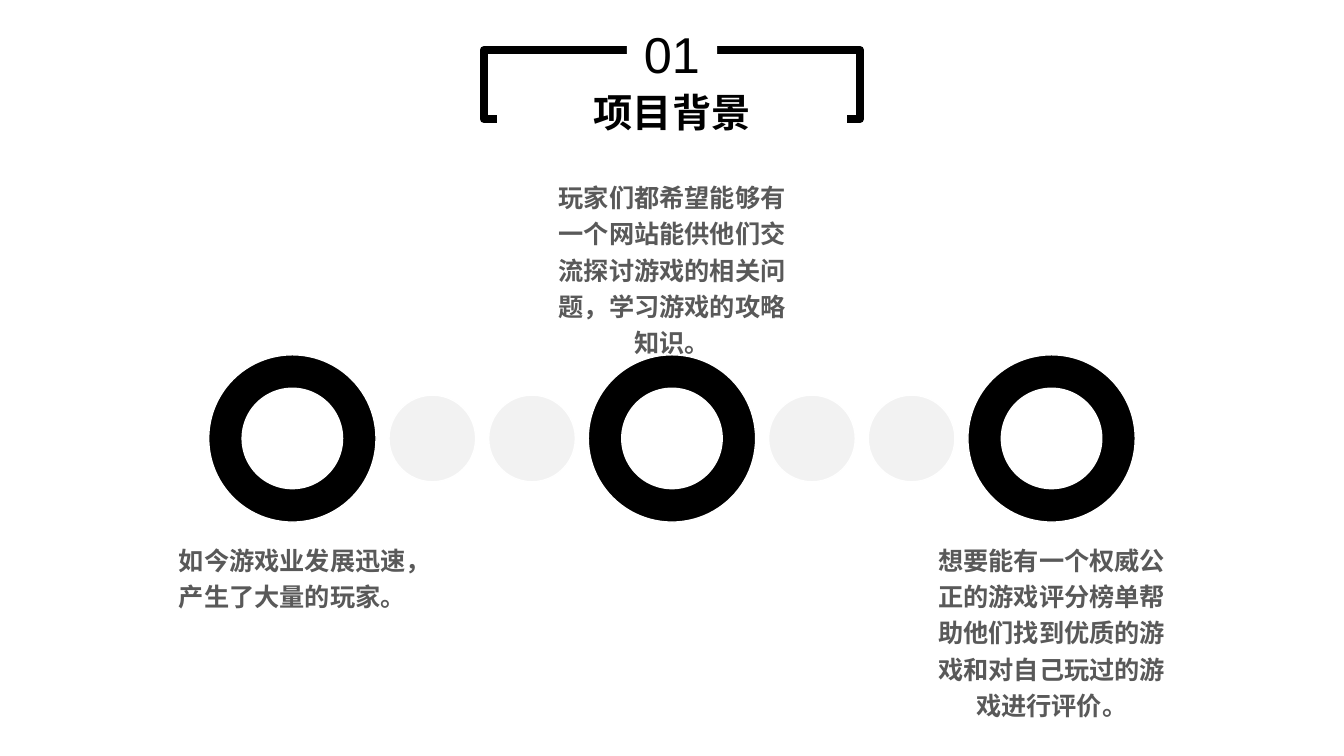
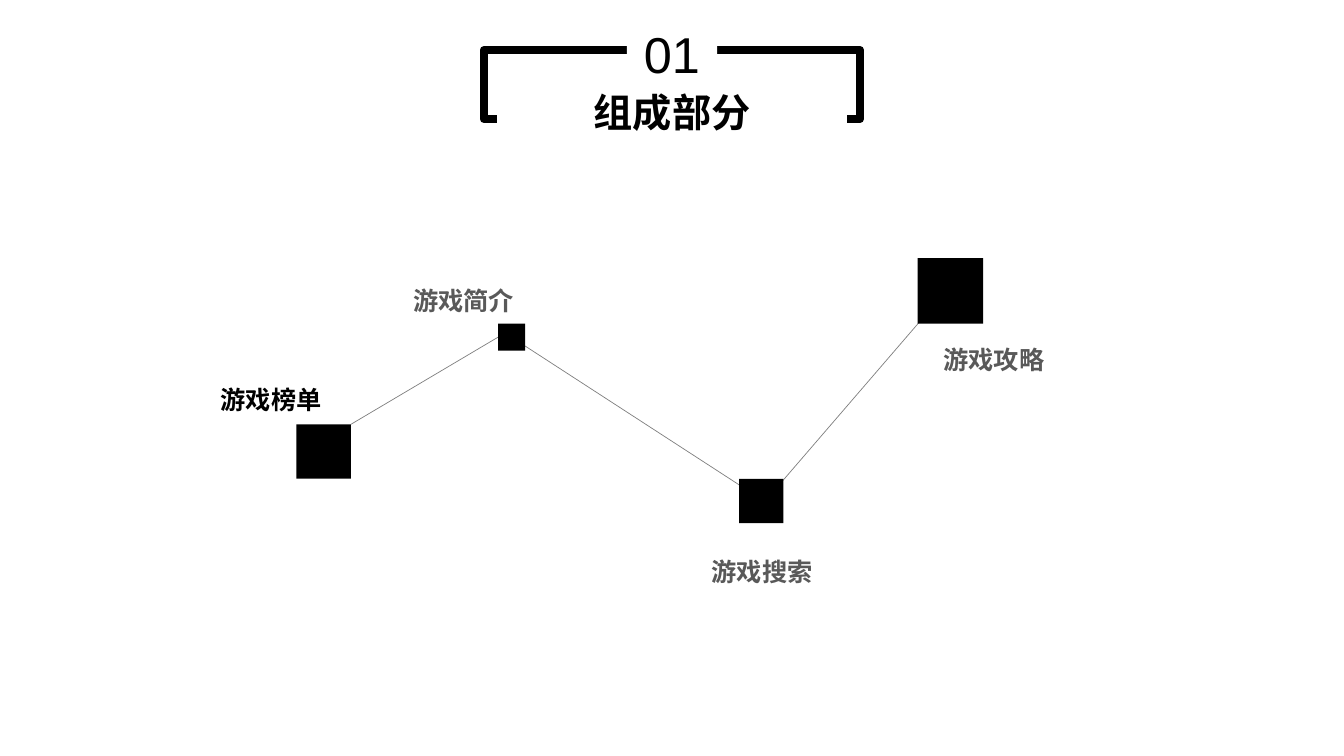
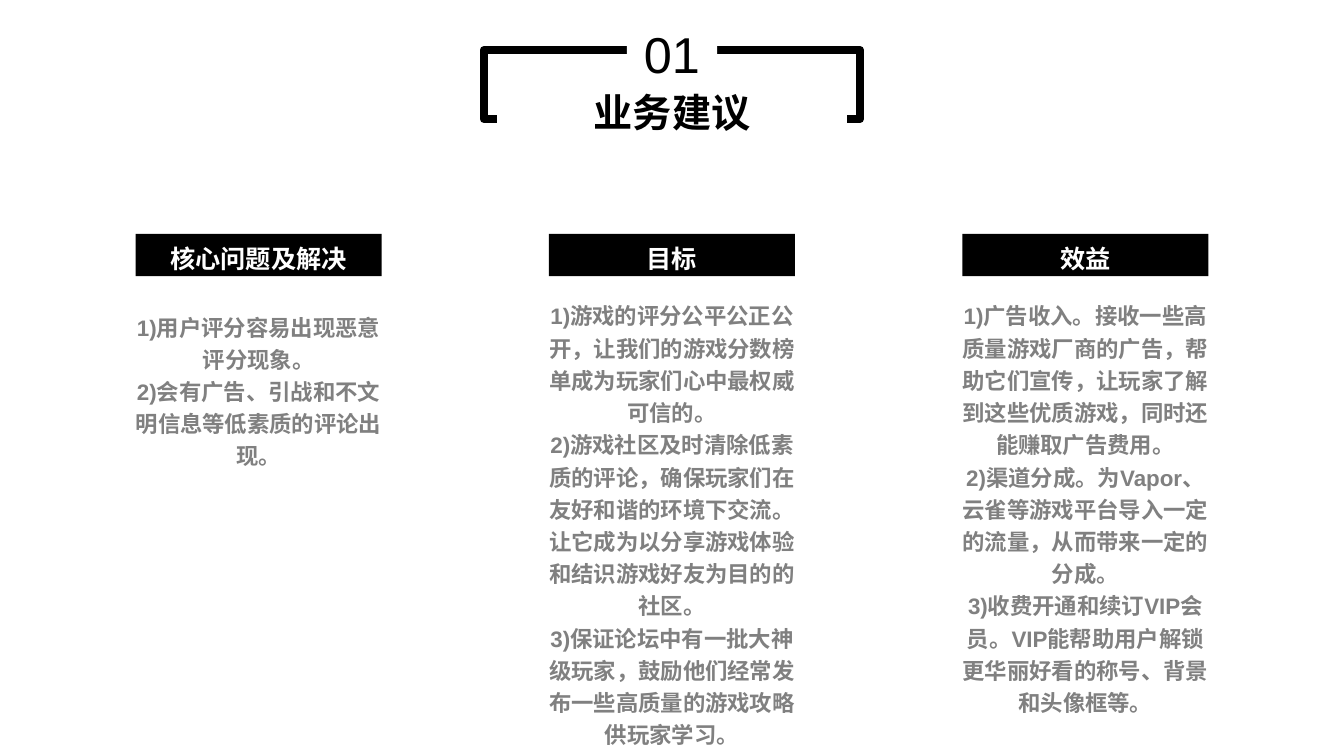
from dataclasses import dataclass

from lxml import etree
from pptx import Presentation
from pptx.dml.color import RGBColor
from pptx.enum.shapes import MSO_CONNECTOR, MSO_SHAPE
from pptx.enum.text import MSO_ANCHOR, MSO_AUTO_SIZE, PP_ALIGN
from pptx.oxml.ns import qn
from pptx.util import Inches, Pt

RECTANGLE, OVAL, DONUT = MSO_SHAPE.RECTANGLE, MSO_SHAPE.OVAL, MSO_SHAPE.DONUT
STRAIGHT = MSO_CONNECTOR.STRAIGHT
LEFT, CENTER = PP_ALIGN.LEFT, PP_ALIGN.CENTER
TOP, MIDDLE = MSO_ANCHOR.TOP, MSO_ANCHOR.MIDDLE
NO_AUTOFIT = MSO_AUTO_SIZE.NONE
TITLE_ONLY = 5
LEFT_SIDE = 1

FONT = "Arial"
BLACK, WHITE = "000000", "FFFFFF"
DARK_GRAY, GRAY, PALE_GRAY = "595959", "808080", "F2F2F2"
LOOSE = 1.2


@dataclass
class Box:
    left: float
    top: float
    width: float
    height: float

    @property
    def center(self):
        return self.left + self.width / 2

    def share(self, x, y, width, height):
        return Box(self.left + x * self.width, self.top + y * self.height,
                   width * self.width, height * self.height)

    def offset(self, x, y, width, height):
        return Box(self.left + x, self.top + y, width, height)

    def point(self, x, y):
        return Inches(self.left + x * self.width), Inches(self.top + y * self.height)

    def emu(self):
        return [Inches(v) for v in (self.left, self.top, self.width, self.height)]


PAGE = Box(0, 0, 13.33, 7.5)
HEADER = Box(4.8, 0.18, 3.73, 1.22)


def color(hex_string):
    return RGBColor.from_string(hex_string)


def paint(shape, fill=None, line=None, weight=1):
    if fill:
        shape.fill.solid()
        shape.fill.fore_color.rgb = color(fill)
    else:
        shape.fill.background()
    if line:
        shape.line.color.rgb = color(line)
        shape.line.width = Pt(weight)
    else:
        shape.line.fill.background()


def add_shape(page, kind, box, fill=None, line=None, weight=1):
    shape = page.shapes.add_shape(kind, *box.emu())
    shape.shadow.inherit = False
    paint(shape, fill, line, weight)
    return shape


def write(shape, text, size, ink, bold=True, align=CENTER, spacing=1.0, anchor=TOP):
    frame = shape.text_frame
    frame.text = text
    frame.word_wrap = True
    frame.auto_size = NO_AUTOFIT
    frame.vertical_anchor = anchor
    for para in frame.paragraphs:
        para.alignment = align
        para.line_spacing = spacing
        for span in para.runs:
            span.font.name = FONT
            span.font.size = Pt(size)
            span.font.bold = bold
            span.font.color.rgb = color(ink)


def add_text(page, box, text, size, ink, **style):
    write(page.shapes.add_textbox(*box.emu()), text, size, ink, **style)


def add_header(page, box, number, text):
    outline = add_shape(page, RECTANGLE, box.share(0, 0.26, 1, 0.56), line=BLACK, weight=6)
    badge = add_shape(page, RECTANGLE, box.share(0.38, 0, 0.24, 0.58), WHITE)
    write(badge, number, 36, BLACK, bold=False, anchor=MIDDLE)
    title = page.shapes.title
    title.left, title.top, title.width, title.height = box.share(0.035, 0.53, 0.93, 0.47).emu()
    paint(title, WHITE)
    write(title, text, 28, BLACK, anchor=MIDDLE)
    for shape in (outline, badge):
        title.element.addprevious(shape.element)


def add_page(deck, text):
    page = deck.slides.add_slide(deck.slide_layouts[TITLE_ONLY])
    add_header(page, HEADER, "01", text)
    return page


def add_ring_chain(page, box, captions):
    ring, dot = box.height, 0.86
    diameters = [ring, dot, dot, ring, dot, dot, ring]
    gap = (box.width - sum(diameters)) / (len(diameters) - 1)
    centers = []
    left = 0
    for diameter in diameters:
        spot = box.offset(left, (ring - diameter) / 2, diameter, diameter)
        if diameter == ring:
            shape = add_shape(page, DONUT, spot, BLACK, WHITE)
            shape.adjustments[0] = 0.2
            centers.append(spot.center)
        else:
            add_shape(page, OVAL, spot, PALE_GRAY, WHITE)
        left += diameter + gap
    width = 2.45
    for center, (rise, text) in zip(centers, captions):
        add_text(page, Box(center - width / 2, box.top + rise, width, 1.92),
                 text, 18, DARK_GRAY, spacing=LOOSE)


def add_link(page, start, end, behind):
    link = page.shapes.add_connector(STRAIGHT, *start, *end)
    link.line.color.rgb = color(GRAY)
    link.line.width = Pt(0.5)
    etree.SubElement(link.element.spPr, qn("a:effectLst"))
    behind.element.addprevious(link.element)
    return link


def add_network(page, box, parts, links):
    spots, nodes = [], []
    for x, y, side, shift_x, shift_y, text, ink, spacing in parts:
        spot = box.offset(x, y, side, side)
        spots.append(spot)
        nodes.append(add_shape(page, RECTANGLE, spot, BLACK))
        add_text(page, spot.offset(shift_x, shift_y, 1.81, 0.46), text, 18, ink,
                 align=LEFT, spacing=spacing)
    for index, (start, end) in enumerate(links):
        link = add_link(page, spots[index].point(*start),
                        spots[index + 1].point(*end), nodes[0])
        if end == (0, 0.5):
            link.end_connect(nodes[index + 1], LEFT_SIDE)


def add_column(page, box, heading, items, drop):
    bar = add_shape(page, RECTANGLE, box.offset(0, 0, box.width, 0.42), BLACK)
    bar.text_frame.margin_top = bar.text_frame.margin_bottom = 0
    write(bar, heading, 18, WHITE, spacing=LOOSE, anchor=MIDDLE)
    overhang = 0.12
    body = box.offset(-overhang, drop, box.width + 2 * overhang, box.height - drop)
    add_text(page, body, "\n".join(items), 16, GRAY, spacing=LOOSE)


def build_background(deck):
    page = add_page(deck, "项目背景")
    add_ring_chain(page, Box(2.07, 3.52, 9.19, 1.66), [
        (1.78, "如今游戏业发展迅速，产生了大量的玩家。"),
        (-1.82, "玩家们都希望能够有一个网站能供他们交流探讨游戏的相关问题，学习游戏的攻略知识。"),
        (1.78, "想要能有一个权威公正的游戏评分榜单帮助他们找到优质的游戏和对自己玩过的游戏进行评价。"),
    ])


def build_components(deck):
    page = add_page(deck, "组成部分")
    parts = [
        (0, 1.65, 0.54, -0.85, -0.45, "游戏榜单", BLACK, 1.0),
        (2, 0.65, 0.27, -0.94, -0.49, "游戏简介", DARK_GRAY, LOOSE),
        (4.39, 2.19, 0.44, -0.37, 0.66, "游戏搜索", DARK_GRAY, LOOSE),
        (6.16, 0, 0.65, 0.16, 0.75, "游戏攻略", DARK_GRAY, LOOSE),
    ]
    links = [
        ((1, 0), (0, 0.5)),
        ((0.8, 0.7), (0.1, 0.2)),
        ((0.85, 0.2), (0.25, 0.72)),
    ]
    add_network(page, Box(2.94, 2.56, 6.81, 2.63), parts, links)


def build_advice(deck):
    page = add_page(deck, "业务建议")
    columns = [
        ("核心问题及解决", 0.69, [
            "1)用户评分容易出现恶意评分现象。",
            "2)会有广告、引战和不文明信息等低素质的评论出现。",
        ]),
        ("目标", 0.58, [
            "1)游戏的评分公平公正公开，让我们的游戏分数榜单成为玩家们心中最权威可信的。",
            "2)游戏社区及时清除低素质的评论，确保玩家们在友好和谐的环境下交流。让它成为以分享游戏体验和结识游戏好友为目的的社区。",
            "3)保证论坛中有一批大神级玩家，鼓励他们经常发布一些高质量的游戏攻略供玩家学习。",
        ]),
        ("效益", 0.58, [
            "1)广告收入。接收一些高质量游戏厂商的广告，帮助它们宣传，让玩家了解到这些优质游戏，同时还能赚取广告费用。",
            "2)渠道分成。为Vapor、云雀等游戏平台导入一定的流量，从而带来一定的分成。",
            "3)收费开通和续订VIP会员。VIP能帮助用户解锁更华丽好看的称号、背景和头像框等。",
        ]),
    ]
    width, pitch = 2.44, 4.1
    first = PAGE.center - pitch - width / 2
    for index, (heading, drop, items) in enumerate(columns):
        add_column(page, Box(first + index * pitch, 2.32, width, 5.18), heading, items, drop)


def main():
    deck = Presentation()
    deck.slide_width, deck.slide_height = Inches(PAGE.width), Inches(PAGE.height)
    build_background(deck)
    build_components(deck)
    build_advice(deck)
    deck.save("out.pptx")


if __name__ == "__main__":
    main()
